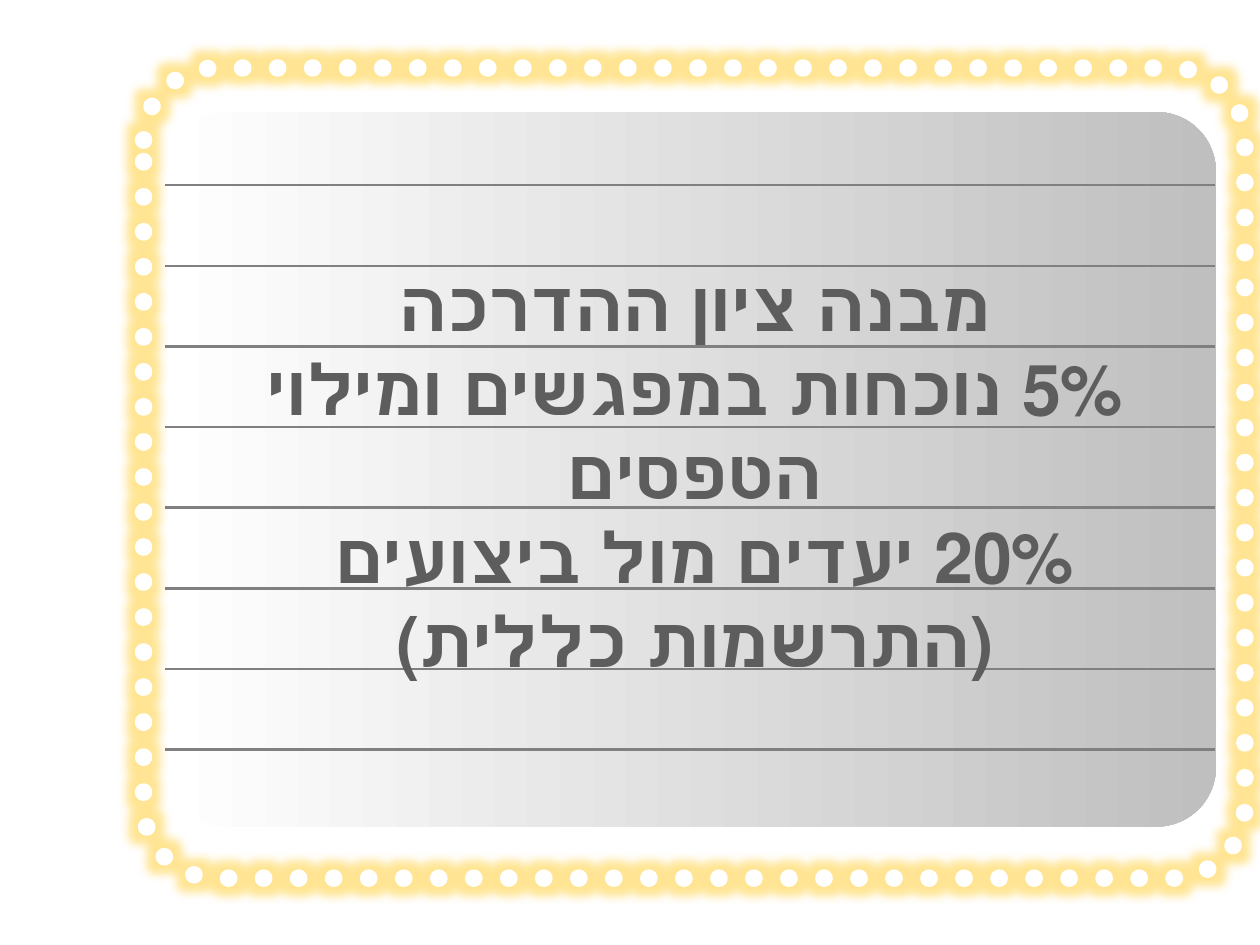
from lxml import etree
from pptx import Presentation
from pptx.dml.color import RGBColor
from pptx.enum.dml import MSO_LINE
from pptx.enum.shapes import MSO_CONNECTOR, MSO_SHAPE
from pptx.enum.text import MSO_ANCHOR, PP_ALIGN
from pptx.oxml.ns import qn
from pptx.util import Inches, Pt

ROUNDED = MSO_SHAPE.ROUNDED_RECTANGLE
STRAIGHT = MSO_CONNECTOR.STRAIGHT
DOTTED = MSO_LINE.ROUND_DOT
MIDDLE = MSO_ANCHOR.MIDDLE
CENTER = PP_ALIGN.CENTER

WHITE = RGBColor(0xFF, 0xFF, 0xFF)
SILVER = RGBColor(0xBF, 0xBF, 0xBF)
RULE_GRAY = RGBColor(0x80, 0x80, 0x80)
TEXT_GRAY = RGBColor(0x5D, 0x5D, 0x5D)
GLOW_YELLOW = RGBColor(0xFF, 0xE5, 0x93)

LINES = [
    "מבנה ציון ההדרכה",
    "5% נוכחות במפגשים ומילוי הטפסים",
    "20% יעדים מול ביצועים ",
    "(התרשמות כללית)",
]

presentation = Presentation()
presentation.slide_width = Inches(10)
presentation.slide_height = Inches(7.5)
slide = presentation.slides.add_slide(presentation.slide_layouts[6])
shapes = slide.shapes

# Gradient panel
panel = shapes.add_shape(ROUNDED, Inches(1.32), Inches(0.89), Inches(8.33), Inches(5.67))
panel.adjustments[0] = 0.083
panel.shadow.inherit = False
panel.fill.gradient()
panel.fill.gradient_angle = 0
for stop, color, position in zip(panel.fill.gradient_stops, (WHITE, SILVER), (0, 1)):
    stop.color.rgb = color
    stop.position = position
panel.line.fill.background()

# Frame of round dots with a yellow glow
frame = shapes.add_shape(ROUNDED, Inches(1.14), Inches(0.54), Inches(8.74), Inches(6.43))
frame.adjustments[0] = 0.089
frame.shadow.inherit = False
frame.fill.background()
frame.line.color.rgb = WHITE
frame.line.width = Pt(10)
frame.line.dash_style = DOTTED
frame._element.spPr.find(qn("a:ln")).set("cap", "rnd")
effects = frame._element.spPr.find(qn("a:effectLst"))
glow = etree.SubElement(effects, qn("a:glow"), rad=str(Pt(11)))
etree.SubElement(glow, qn("a:srgbClr"), val=str(GLOW_YELLOW))

# Notebook rules
for index in range(8):
    top = Inches(1.47 + 0.64 * index)
    rule = shapes.add_connector(STRAIGHT, Inches(1.31), top, Inches(9.64), top)
    rule.line.color.rgb = RULE_GRAY
    rule.line.width = Pt(1.5)
    etree.SubElement(rule._element.spPr, qn("a:effectLst"))

# Right-to-left text
text_box = shapes.add_textbox(Inches(1.35), Inches(0.91), Inches(8.33), Inches(5.67))
text_frame = text_box.text_frame
text_frame.word_wrap = True
text_frame.vertical_anchor = MIDDLE
text_format = {"name": "Cabin", "size": Pt(40), "bold": True}
for index, line in enumerate(LINES):
    paragraph = text_frame.add_paragraph() if index else text_frame.paragraphs[0]
    paragraph.alignment = CENTER
    paragraph._p.get_or_add_pPr().set("rtl", "1")
    run = paragraph.add_run()
    run.text = line
    for attribute, value in text_format.items():
        setattr(run.font, attribute, value)
    run.font.color.rgb = TEXT_GRAY

presentation.save("out.pptx")
